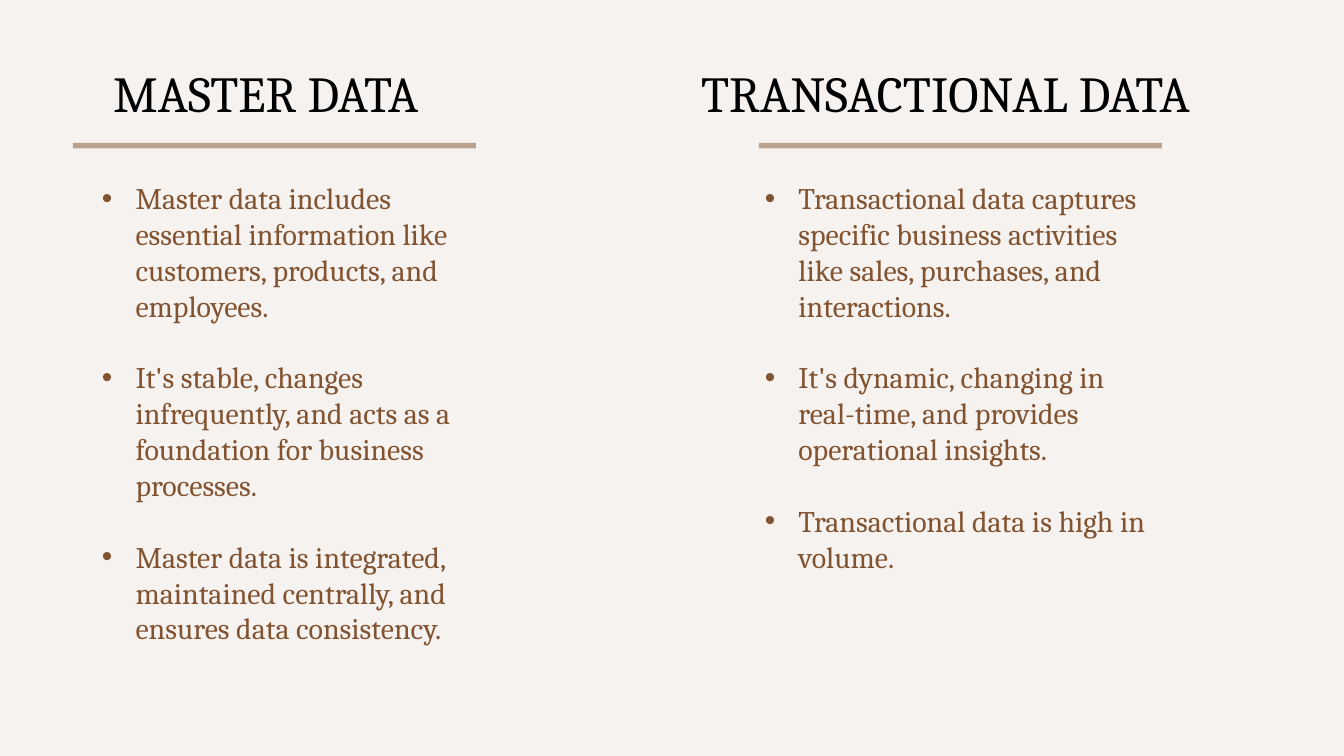
from dataclasses import dataclass

from lxml import etree
from pptx import Presentation
from pptx import util as u
from pptx.dml.color import RGBColor
from pptx.enum import shapes, text
from pptx.oxml.ns import qn

PX = 9525  # EMU per px, 96 px to the inch


@dataclass(frozen=True)
class Theme:
    font: str = "Cambria"
    background: str = "F6F2EF"
    heading: str = "000000"
    accent: str = "825330"
    heading_size: int = 54
    body_size: int = 32
    bullet_gap: float = 38.5


THEME = Theme()

HEADING_TOP, RULE_TOP, BODY_TOP = 84, 204, 252
RULE_SIZE = (576, 8)

# Placeholder numbers belong to the Comparison layout.
COLUMNS = [
    {
        "heading": "MASTER DATA",
        "heading_idx": 0,
        "heading_box": (152, HEADING_TOP, 496, 97),
        "rule_left": 104,
        "body_idx": 2,
        "body_box": (136, BODY_TOP, 592, 710),
        "points": [
            "Master data includes essential information like customers, products, and employees.",
            "It's stable, changes infrequently, and acts as a foundation for business processes.",
            "Master data is integrated, maintained centrally, and ensures data consistency.",
        ],
    },
    {
        "heading": "TRANSACTIONAL DATA",
        "heading_idx": 3,
        "heading_box": (992, HEADING_TOP, 776, 97),
        "rule_left": 1084,
        "body_idx": 4,
        "body_box": (1083, BODY_TOP, 592, 578),
        "points": [
            "Transactional data captures specific business activities like sales, purchases, and interactions.",
            "It's dynamic, changing in real-time, and provides operational insights.",
            "Transactional data is high in volume.",
        ],
    },
]


def px(n):
    return u.Emu(n * PX)


def rgb(value):
    return RGBColor.from_string(value)


def place(sp, box):
    """Move a placeholder and return its top-anchored text frame."""
    sp.left, sp.top, sp.width, sp.height = map(px, box)
    tf = sp.text_frame
    tf.word_wrap = True
    tf.auto_size = text.MSO_AUTO_SIZE.SHAPE_TO_FIT_TEXT
    tf.vertical_anchor = text.MSO_ANCHOR.TOP
    return tf


def format_paragraph(p, size, color, space_before=0):
    p.alignment = text.PP_ALIGN.LEFT
    p.line_spacing = 1.0
    p.space_before = u.Pt(space_before)
    p.space_after = u.Pt(0)
    for r in p.runs:
        r.font.name = THEME.font
        r.font.size = u.Pt(size)
        r.font.bold = False
        r.font.color.rgb = rgb(color)


def add_bullet(p, indent=48):
    pPr = p._p.get_or_add_pPr()
    pPr.set("marL", str(px(indent)))
    pPr.set("indent", str(-px(indent)))
    etree.SubElement(pPr, qn("a:buFont")).set("typeface", "Arial")
    etree.SubElement(pPr, qn("a:buChar")).set("char", "•")


def set_heading(sp, box, heading):
    tf = place(sp, box)
    tf.text = heading
    format_paragraph(tf.paragraphs[0], THEME.heading_size, THEME.heading)


def set_bullets(sp, box, points):
    tf = place(sp, box)
    tf.text = "\n".join(points)
    for i, p in enumerate(tf.paragraphs):
        add_bullet(p)
        gap = THEME.bullet_gap if i else 0
        format_paragraph(p, THEME.body_size, THEME.accent, gap)


def add_rule(s, left):
    box = map(px, (left, RULE_TOP, *RULE_SIZE))
    sp = s.shapes.add_shape(shapes.MSO_SHAPE.RECTANGLE, *box)
    sp.shadow.inherit = False
    sp.line.fill.background()
    sp.fill.solid()
    sp.fill.fore_color.rgb = rgb(THEME.accent)
    # Half transparent
    color = sp._element.spPr.find(qn("a:solidFill")).find(qn("a:srgbClr"))
    etree.SubElement(color, qn("a:alpha")).set("val", "50000")


def main():
    prs = Presentation()
    prs.slide_width, prs.slide_height = px(1920), px(1080)
    s = prs.slides.add_slide(prs.slide_layouts.get_by_name("Comparison"))
    s.background.fill.solid()
    s.background.fill.fore_color.rgb = rgb(THEME.background)

    # Two columns: heading, rule and bullets
    holders = {sp.placeholder_format.idx: sp for sp in s.placeholders}
    for column in COLUMNS:
        set_heading(holders.pop(column["heading_idx"]), column["heading_box"], column["heading"])
        add_rule(s, column["rule_left"])
        set_bullets(holders.pop(column["body_idx"]), column["body_box"], column["points"])

    # Unused placeholders
    for sp in holders.values():
        sp._element.getparent().remove(sp._element)

    prs.save("out.pptx")


if __name__ == "__main__":
    main()
